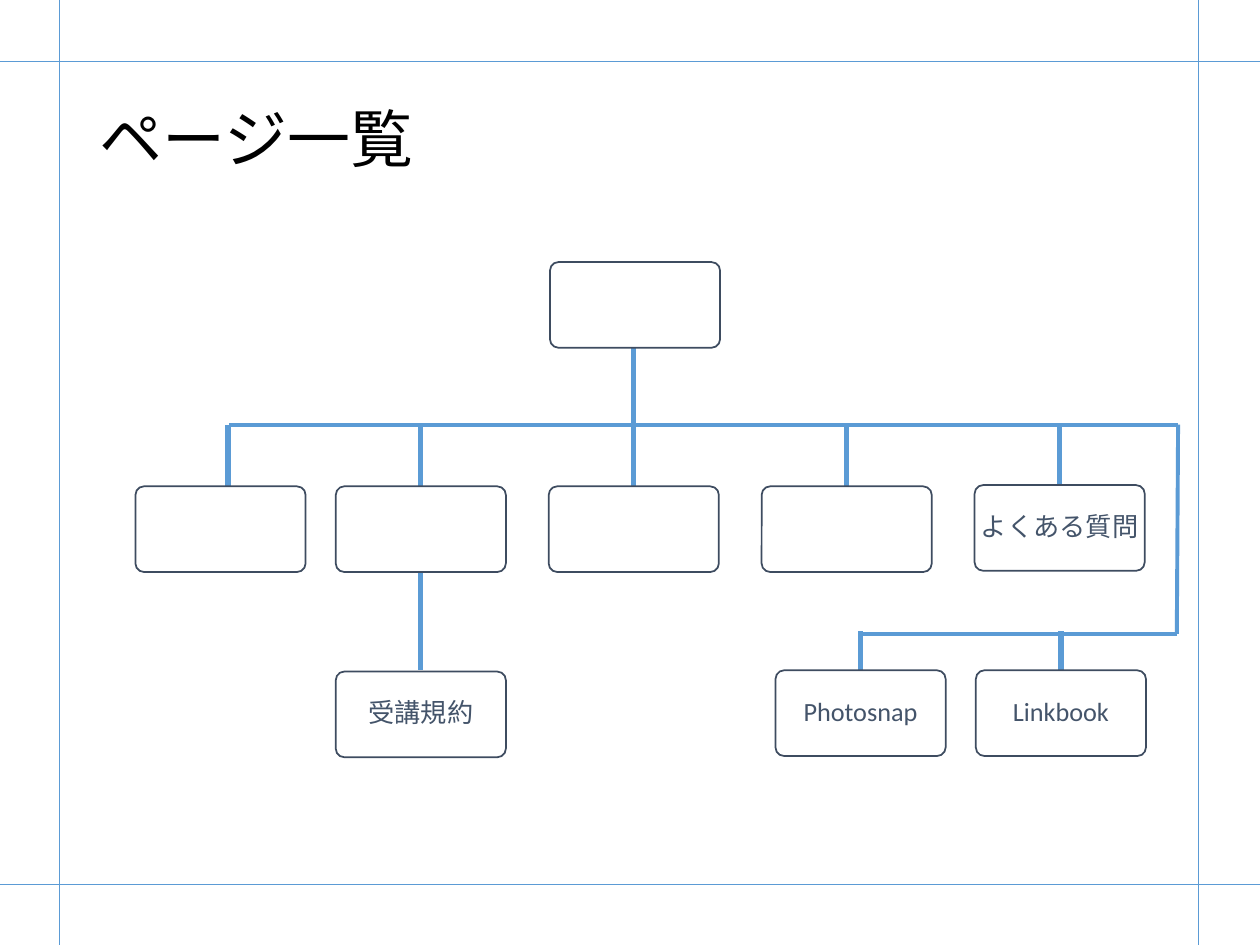
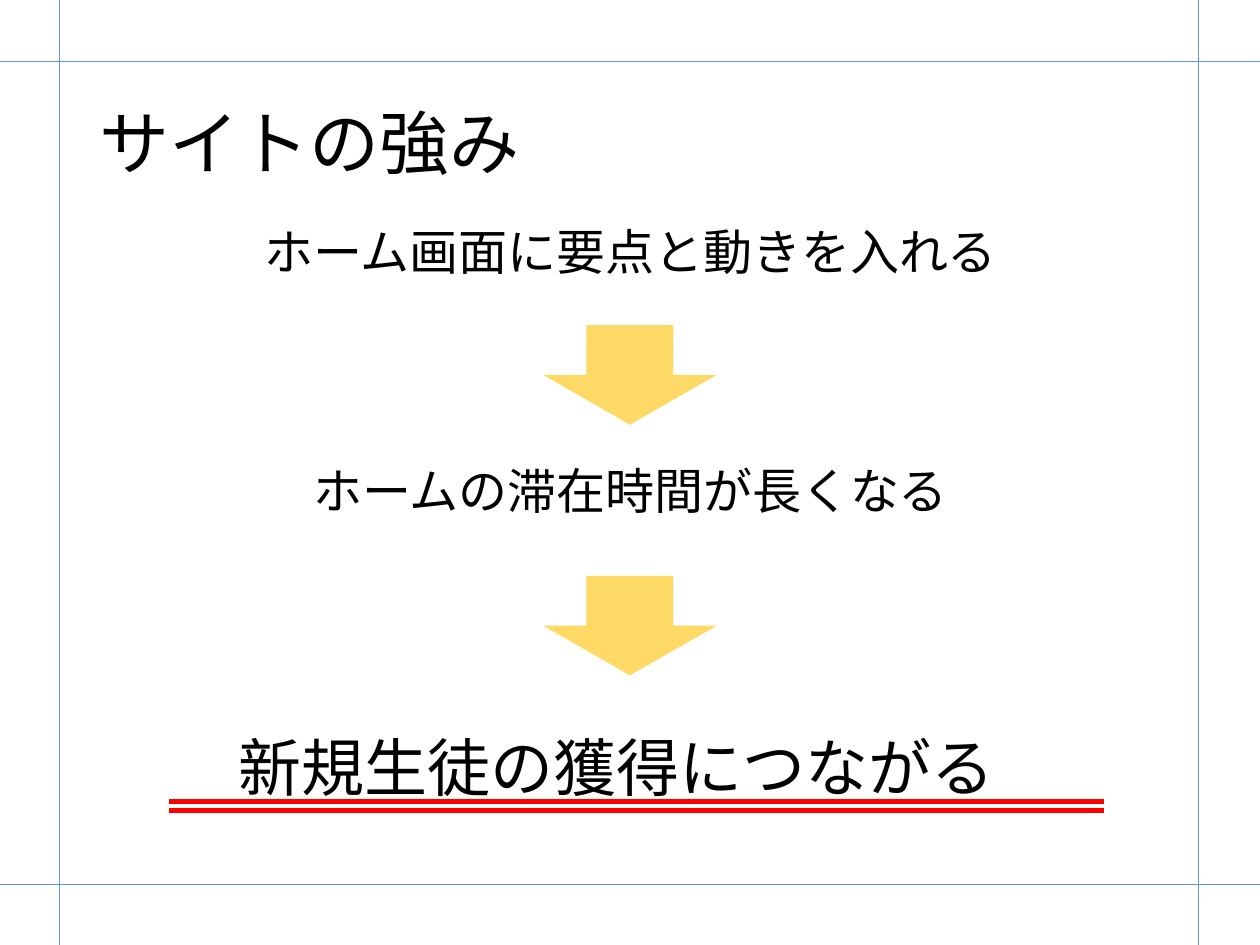
from lxml.etree import SubElement
from pptx import Presentation
from pptx.dml.color import RGBColor
from pptx.enum.shapes import MSO_CONNECTOR as Connector, MSO_SHAPE as Shape
from pptx.enum.text import MSO_ANCHOR as Anchor, MSO_AUTO_SIZE as AutoSize, PP_ALIGN as Align
from pptx.oxml.ns import qn
from pptx.util import Inches, Pt

COLUMNS, ROWS = 100, 75
TITLE_ONLY = 5


def color(hex_code):
    return RGBColor.from_string(hex_code)


def write(frame, text, size=15, ink="000000", align=Align.CENTER,
          line_spacing=0.9, wrap=True, inset=0):
    """Put one formatted, vertically centred paragraph in a text frame."""
    frame.text = text
    frame.word_wrap = wrap
    frame.auto_size = AutoSize.NONE
    frame.vertical_anchor = Anchor.MIDDLE
    frame.margin_left = frame.margin_right = inset
    frame.margin_top = frame.margin_bottom = inset
    paragraph = frame.paragraphs[0]
    paragraph.alignment = align
    paragraph.line_spacing = line_spacing
    font = paragraph.runs[0].font
    font.name, font.size = "Calibri", Pt(size)
    font.color.rgb = color(ink)


class Deck:
    """Shared style and the current slide; lengths are grid columns and rows."""
    BLUE, OUTLINE, LABEL = "5B9BD5", "3E4C60", "44546A"
    WHITE, YELLOW, RED = "FFFFFF", "FFD966", "FF0000"
    NODE_WIDTH, NODE_HEIGHT = 13.5, 6.8

    def __init__(self):
        self.presentation = Presentation()
        self.presentation.slide_width = Inches(10)
        self.presentation.slide_height = Inches(7.5)
        self.slide = None

    def x(self, columns):
        return round(self.presentation.slide_width * columns / COLUMNS)

    def y(self, rows):
        return round(self.presentation.slide_height * rows / ROWS)

    def box(self, left, top, width, height):
        return self.x(left), self.y(top), self.x(width), self.y(height)

    def new_slide(self, title, size, line_spacing):
        layout = self.presentation.slide_layouts[TITLE_ONLY]
        self.slide = self.presentation.slides.add_slide(layout)
        # Margin guides
        for column in (4.7, 95.1):
            self.line(column, 0, column, ROWS, weight=0.5)
        for row in (4.9, 70.2):
            self.line(0, row, COLUMNS, row, weight=0.5)
        # Title
        shape = self.slide.shapes.title
        shape.left, shape.top, shape.width, shape.height = self.box(6.9, 4, 86.2, 14.5)
        write(shape.text_frame, title, size=size, align=Align.LEFT,
              line_spacing=line_spacing, inset=Inches(0.1))

    def line(self, x1, y1, x2, y2, weight=3, ink=BLUE):
        connector = self.slide.shapes.add_connector(
            Connector.STRAIGHT, self.x(x1), self.y(y1), self.x(x2), self.y(y2))
        connector.line.color.rgb = color(ink)
        connector.line.width = Pt(weight)
        SubElement(connector.element.spPr, qn("a:effectLst"))

    def shape(self, kind, left, top, width, height, fill):
        shape = self.slide.shapes.add_shape(kind, *self.box(left, top, width, height))
        shape.shadow.inherit = False
        shape.fill.solid()
        shape.fill.fore_color.rgb = color(fill)
        shape.line.fill.background()
        return shape

    def node(self, center, top, label=""):
        node = self.shape(Shape.ROUNDED_RECTANGLE, center - self.NODE_WIDTH / 2, top,
                          self.NODE_WIDTH, self.NODE_HEIGHT, self.WHITE)
        node.adjustments[0] = 0.1
        node.line.color.rgb = color(self.OUTLINE)
        node.line.width = Pt(1)
        if label:
            write(node.text_frame, label, ink=self.LABEL, wrap=False)

    def down_arrow(self, top):
        self.shape(Shape.DOWN_ARROW, 43.1, top, 13.8, 7.9, self.YELLOW)

    def statement(self, text, left, top, width, height, size=28):
        text_box = self.slide.shapes.add_textbox(*self.box(left, top, width, height))
        write(text_box.text_frame, text, size=size)


def build_site_map(deck):
    deck.new_slide("ページ一覧", size=36, line_spacing=0.9)
    home_top, bus, page_top, social_bus, leaf_top = 20.8, 33.7, 38.6, 50.3, 53.2
    bus_right = 93.5
    home = 50.3
    second, step = 33.4, 16.9
    pages = [17.5] + [second + step * index for index in range(4)]
    socials = {68.3: "Photosnap", 84.2: "Linkbook"}

    # Branch lines
    deck.line(home, home_top + deck.NODE_HEIGHT, home, bus)
    deck.line(18.2, bus, bus_right, bus, weight=2.25)
    for center in [18.1] + pages[1:]:
        deck.line(center, bus, center, page_top)
    deck.line(second, page_top + deck.NODE_HEIGHT, second, leaf_top)
    deck.line(bus_right, bus, bus_right - 0.1, social_bus, weight=2.25)
    deck.line(bus_right - 0.1, social_bus, min(socials), social_bus, weight=2.25)
    for center in socials:
        deck.line(center, social_bus - 0.2, center, leaf_top)

    # Page boxes
    deck.node(home + 0.1, home_top)
    for center in pages[:-1]:
        deck.node(center, page_top)
    deck.node(pages[-1], page_top - 0.1, "よくある質問")
    deck.node(second, leaf_top + 0.1, "受講規約")
    for center, label in socials.items():
        deck.node(center, leaf_top, label)


def build_strengths(deck):
    deck.new_slide("サイトの強み", size=40, line_spacing=1)

    # Steps and the arrows after them
    steps = ("ホーム画面に要点と動きを入れる", "ホームの滞在時間が長くなる")
    for index, text in enumerate(steps):
        deck.statement(text, 7.3, 16.5 + 19 * index, 85.5, 7.4)
        deck.down_arrow(25.8 + 19.9 * index)

    # Underlined result
    deck.statement("新規生徒の獲得につながる", 8.6, 57.3, 80.7, 7.8, size=36)
    for row in (63.6, 64.3):
        deck.line(13.4, row, 87.6, row, ink=deck.RED)


def main():
    deck = Deck()
    build_site_map(deck)
    build_strengths(deck)
    deck.presentation.save("out.pptx")


if __name__ == "__main__":
    main()
